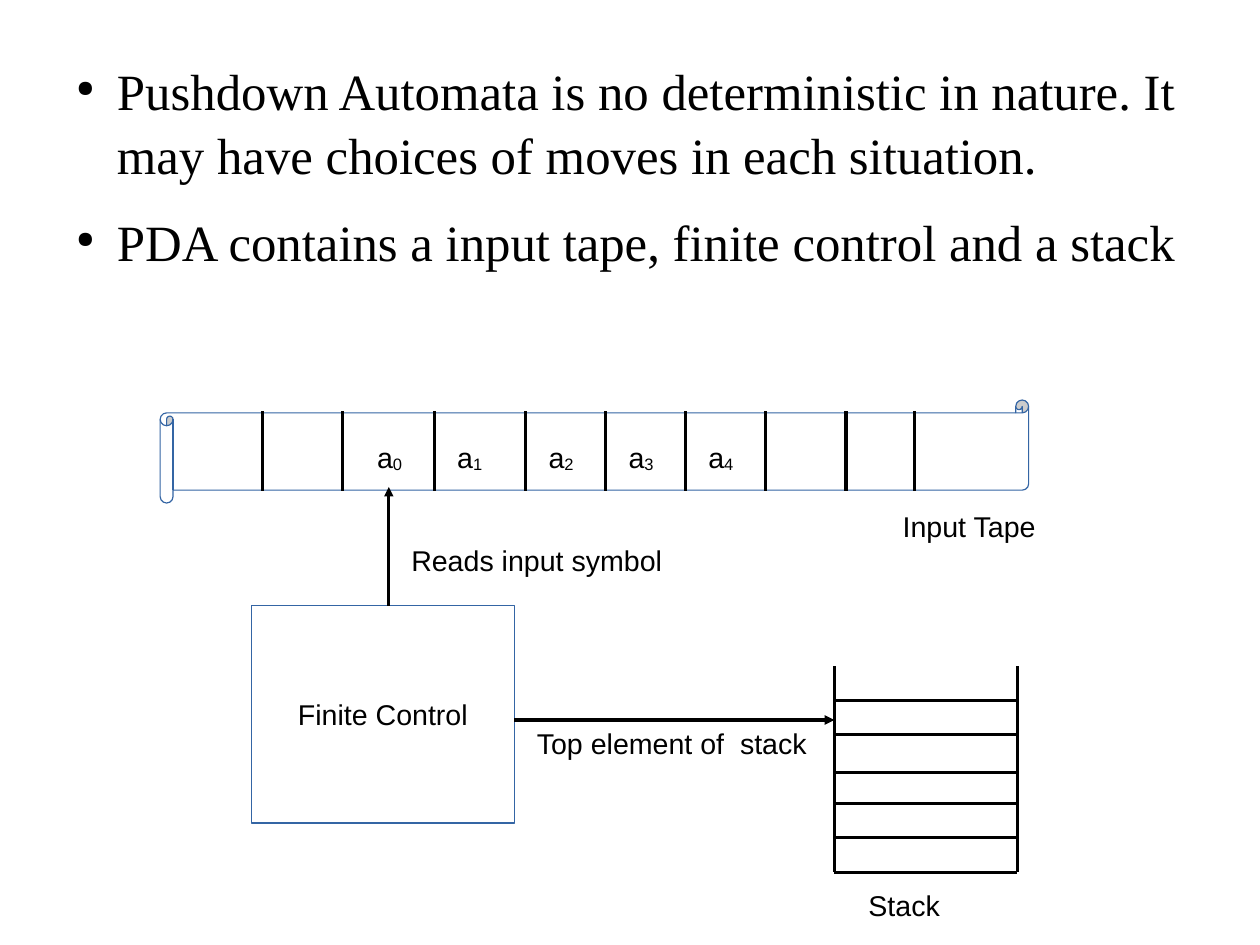
from dataclasses import dataclass

from lxml import etree
from pptx import Presentation
from pptx.dml.color import RGBColor
from pptx.enum.shapes import MSO_CONNECTOR, MSO_SHAPE
from pptx.enum.text import MSO_ANCHOR, MSO_AUTO_SIZE, PP_ALIGN
from pptx.oxml.ns import qn
from pptx.util import Cm, Pt

STRAIGHT = MSO_CONNECTOR.STRAIGHT
SCROLL = MSO_SHAPE.HORIZONTAL_SCROLL
PROCESS = MSO_SHAPE.FLOWCHART_PROCESS
MIDDLE = MSO_ANCHOR.MIDDLE
CENTER = PP_ALIGN.CENTER
GROW = MSO_AUTO_SIZE.SHAPE_TO_FIT_TEXT


@dataclass(frozen=True)
class Theme:
    ink: RGBColor = RGBColor(0x00, 0x00, 0x00)
    paper: RGBColor = RGBColor(0xFF, 0xFF, 0xFF)
    outline: RGBColor = RGBColor(0x34, 0x65, 0xA4)
    body_font: str = "Times New Roman"
    label_font: str = "Arial"
    body_size: int = 32
    label_size: int = 18
    hairline: int = 0


THEME = Theme()

BULLETS = [
    "Pushdown Automata is no deterministic in nature. "
    "It may have choices of moves in each situation.",
    "PDA contains a input tape, finite control and a stack",
]

# Positions in centimetres
TAPE_TOP, TAPE_BOTTOM = 9.14, 10.92
TAPE_DIVIDERS = [5.84, 7.62, 9.65, 11.68, 13.46, 15.24, 17.02, 18.8, 20.32]
SYMBOL_LEFTS = [8.13, 9.91, 11.94, 13.72, 15.49]
STACK_LEFT, STACK_RIGHT = 18.54, 22.61
STACK_TOP, STACK_BOTTOM = 14.81, 19.38
STACK_RUNGS = [15.57, 16.33, 17.17, 17.86, 18.62, STACK_BOTTOM]
LABELS = [
    ("Input Tape", 19.81, 11.18, 4.83),
    ("Stack", 19.05, 19.61, 3.56),
    ("Reads input symbol", 8.89, 11.94, 6.1),
    ("Top element of  stack", 11.68, 16, 7.62),
]


def add_run(p, text, font=THEME.label_font, size=THEME.label_size,
            color=THEME.ink, baseline=None):
    r = p.add_run()
    r.text = text
    r.font.name = font
    r.font.size = Pt(size)
    r.font.color.rgb = color
    if baseline is not None:
        r.font._element.set("baseline", str(baseline))
    return r


def add_bullet(p):
    pPr = p._p.get_or_add_pPr()
    pPr.set("marL", str(Cm(1.2)))
    pPr.set("indent", str(Cm(-0.9)))
    color = etree.SubElement(pPr, qn("a:buClr"))
    etree.SubElement(color, qn("a:srgbClr"), val=str(THEME.ink))
    etree.SubElement(pPr, qn("a:buSzPct"), val="45000")
    etree.SubElement(pPr, qn("a:buChar"), char="●")


def add_body(slide, items):
    sp = slide.shapes.add_textbox(Cm(1.4), Cm(1.27), Cm(25.2), Cm(15.82))
    tf = sp.text_frame
    tf.word_wrap = True
    tf.margin_left = tf.margin_top = tf.margin_right = tf.margin_bottom = 0
    for i, text in enumerate(items):
        p = tf.add_paragraph() if i else tf.paragraphs[0]
        p.line_spacing = 1.05
        p.space_after = Pt(14.2)
        add_bullet(p)
        add_run(p, text, font=THEME.body_font, size=THEME.body_size)


def add_label(slide, text, left, top, width, height=0.97, subscript=None):
    sp = slide.shapes.add_textbox(Cm(left), Cm(top), Cm(width), Cm(height))
    tf = sp.text_frame
    tf.word_wrap = True
    tf.auto_size = GROW
    p = tf.paragraphs[0]
    add_run(p, text)
    if subscript is not None:
        add_run(p, subscript, baseline=-8000)


def add_outlined(slide, kind, left, top, width, height):
    sp = slide.shapes.add_shape(kind, Cm(left), Cm(top), Cm(width), Cm(height))
    sp.shadow.inherit = False
    sp.fill.solid()
    sp.fill.fore_color.rgb = THEME.paper
    sp.line.color.rgb = THEME.outline
    sp.line.width = Pt(THEME.hairline)
    return sp


def add_line(slide, x1, y1, x2, y2, arrow=False):
    line = slide.shapes.add_connector(STRAIGHT, Cm(x1), Cm(y1), Cm(x2), Cm(y2))
    line.line.color.rgb = THEME.ink
    line.line.width = Pt(THEME.hairline)
    spPr = line._element.spPr
    if arrow:
        etree.SubElement(spPr.find(qn("a:ln")), qn("a:tailEnd"), type="triangle")
    etree.SubElement(spPr, qn("a:effectLst"))


def add_tape(slide):
    scroll = add_outlined(slide, SCROLL, 3.56, 8.89, 19.3, 2.29)
    scroll.adjustments[0] = 0.125
    for x in TAPE_DIVIDERS:
        add_line(slide, x, TAPE_TOP, x, TAPE_BOTTOM)
    for i, left in enumerate(SYMBOL_LEFTS):
        add_label(slide, "a", left, 9.65, 1.27, 1.17, subscript=str(i))


def add_control(slide):
    sp = add_outlined(slide, PROCESS, 5.59, 13.46, 5.84, 4.83)
    tf = sp.text_frame
    tf.word_wrap = False
    tf.vertical_anchor = MIDDLE
    p = tf.paragraphs[0]
    p.alignment = CENTER
    add_run(p, "Finite Control")


def add_stack(slide):
    for x in (STACK_LEFT, STACK_RIGHT):
        add_line(slide, x, STACK_TOP, x, STACK_BOTTOM)
    for y in STACK_RUNGS:
        add_line(slide, STACK_LEFT, y, STACK_RIGHT, y)


def main():
    prs = Presentation()
    prs.slide_width, prs.slide_height = Cm(28), Cm(21)
    slide = prs.slides.add_slide(prs.slide_layouts[6])

    # Statements
    add_body(slide, BULLETS)

    # Automaton parts
    add_tape(slide)
    add_control(slide)
    add_stack(slide)

    # Arrows from the control to the tape and the stack
    add_line(slide, 8.64, 13.46, 8.64, 10.82, arrow=True)
    add_line(slide, 11.43, 16, STACK_LEFT, 16, arrow=True)

    # Captions
    for text, left, top, width in LABELS:
        add_label(slide, text, left, top, width)

    prs.save("out.pptx")


if __name__ == "__main__":
    main()
